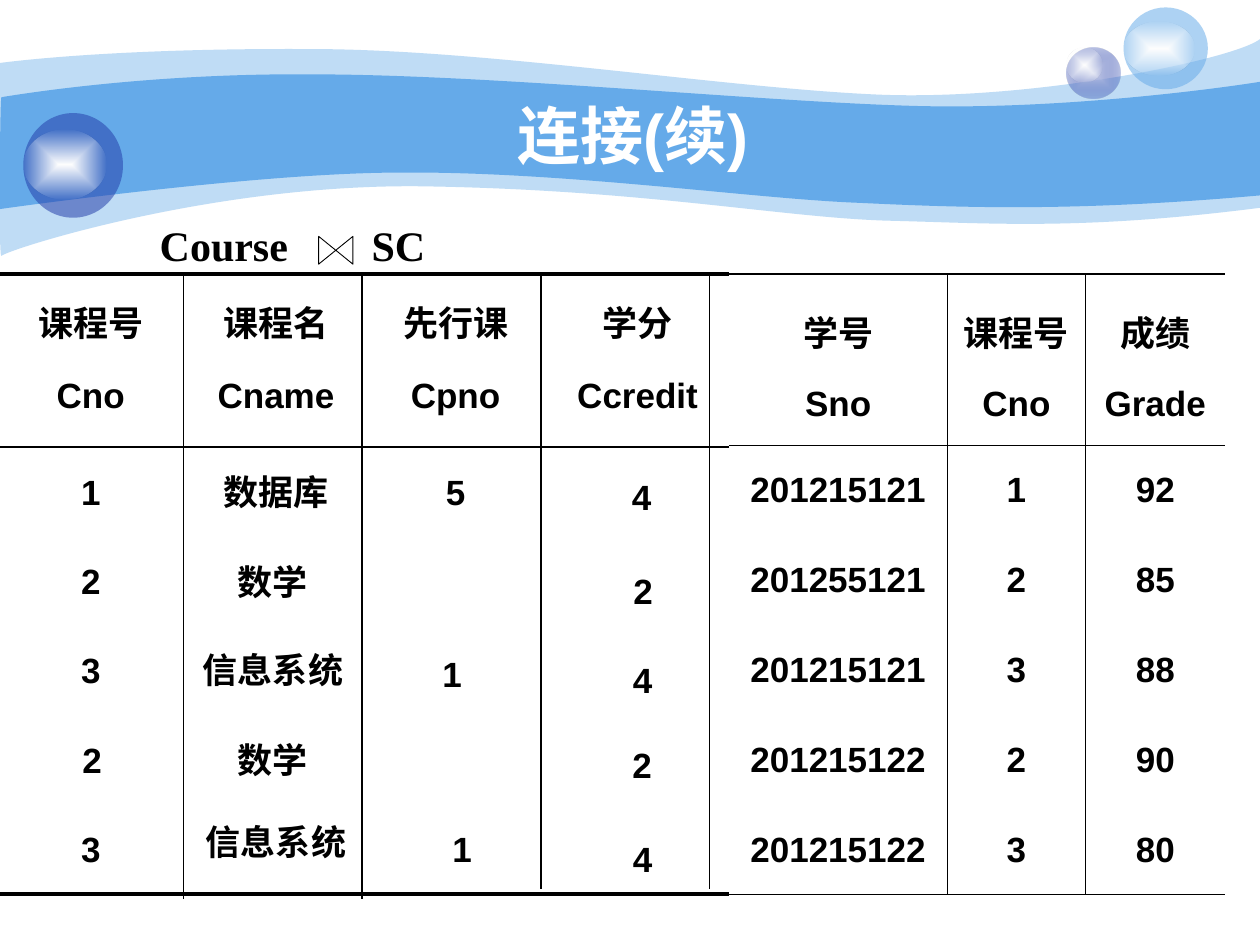
import lxml.etree
import pptx
import pptx.dml.color
import pptx.enum.shapes
import pptx.enum.text
import pptx.oxml
import pptx.oxml.ns
import pptx.util
from pptx.util import Cm, Pt

RGBColor = pptx.dml.color.RGBColor
SHAPES = pptx.enum.shapes.MSO_SHAPE
ALIGN = pptx.enum.text.PP_ALIGN
ANCHOR = pptx.enum.text.MSO_ANCHOR
qn = pptx.oxml.ns.qn

BLACK = RGBColor(0x00, 0x00, 0x00)
WHITE = RGBColor(0xFF, 0xFF, 0xFF)
SKY = RGBColor(0x65, 0xAA, 0xE9)
NAVY = RGBColor(0x23, 0x3D, 0xA9)
LAVENDER = RGBColor(0xC7, 0xCE, 0xE9)
NS = 'xmlns:a="http://schemas.openxmlformats.org/drawingml/2006/main"'


def paint(shape, *stops):
    """Fill with one (colour, opacity) stop, or a rectangular gradient of several."""
    shape.shadow.inherit = False
    shape.line.fill.background()
    shape.fill.background()
    colours = [f'<a:srgbClr val="{colour}"><a:alpha val="{opacity * 1000}"/></a:srgbClr>'
               for colour, opacity in stops]
    if len(colours) == 1:
        xml = f'<a:solidFill {NS}>{colours[0]}</a:solidFill>'
    else:
        xml = (f'<a:gradFill {NS} rotWithShape="1"><a:gsLst>'
               f'<a:gs pos="0">{colours[0]}</a:gs><a:gs pos="100000">{colours[1]}</a:gs>'
               '</a:gsLst><a:path path="rect"><a:fillToRect l="50000" t="50000" '
               'r="50000" b="50000"/></a:path></a:gradFill>')
    properties = shape.element.spPr
    properties.replace(properties.find(qn("a:noFill")), pptx.oxml.parse_xml(xml))


def write_centred(frame, lines):
    frame.word_wrap = True
    frame.text = "\n".join(lines)
    for index, para in enumerate(frame.paragraphs):
        para.alignment = ALIGN.CENTER
        para.line_spacing = 1.5
        if index:
            para.space_before = Pt(5)
        font = para.runs[0].font
        font.name, font.size, font.bold = "Arial", Pt(20), True
        font.color.rgb = BLACK


deck = pptx.Presentation()
deck.slide_width, deck.slide_height = Cm(25.4), Cm(19.05)
page = deck.slides.add_slide(deck.slide_layouts[5])

# Waves: cubic curves along the upper edge, a straight side, curves back along the lower edge
waves = [
    (41,
     [(0, 1.27), (0.61, 1.19), (2.72, 0.97), (6.27, 0.99), (9.8, 0.99), (14.61, 1.78),
      (17.75, 1.91), (20.88, 2.03), (24.89, 1.19), (25.4, 0.79),
      (25.4, 4.19), (21.79, 4.65), (19.99, 4.5), (17.91, 4.45), (15.8, 4.39), (13.08, 3.84),
      (8.71, 3.76), (4.37, 3.66), (0.1, 5.05), (0.03, 5.16), (-0.03, 5.28), (0, 1.91),
      (0, 1.27)]),
    (100,
     [(0.03, 1.96), (0.05, 1.96), (2.79, 1.47), (6.3, 1.5), (9.8, 1.5), (15.11, 2.03),
      (18.24, 2.13), (21.36, 2.24), (24.79, 1.75), (25.4, 1.65),
      (25.4, 3.94), (21.67, 4.27), (19.43, 4.19), (17.32, 4.09), (15.19, 4.01), (11.35, 3.45),
      (8.05, 3.48), (5.16, 3.48), (-0.05, 4.22), (-0.03, 4.22), (0, 4.22), (0, 1.96),
      (0.03, 1.96)]),
]
SIDE = 9  # the straight side follows the three upper curves
decorations = []
for opacity, outline in waves:
    points = [(Cm(x), Cm(y)) for x, y in outline]
    builder = page.shapes.build_freeform(*points[0])
    builder.add_line_segments(points[1:], close=True)
    wave = builder.convert_to_shape()
    segments = list(wave.element.iter(qn("a:lnTo")))
    curved = segments[:SIDE] + segments[SIDE + 1:]
    for start in range(0, len(curved), 3):
        curve = lxml.etree.Element(qn("a:cubicBezTo"))
        curved[start].addprevious(curve)
        for segment in curved[start:start + 3]:
            curve.append(segment[0])
            segment.getparent().remove(segment)
    paint(wave, (SKY, opacity))
    decorations.append(wave)

# Bubbles, each grouped with its highlight
bubbles = [
    ((21.51, 0.97, 1.07, 1.02), ((LAVENDER, 100), (NAVY, 31)), (21.51, 0.97, 0.71, 0.69)),
    ((22.65, 0.15, 1.7, 1.65), ((SKY, 53),), (22.65, 0.43, 1.42, 1.09)),
    ((0.47, 2.28, 2.01, 2.11), ((NAVY, 53),), (0.47, 2.61, 1.68, 1.42)),
]
for ball, stops, highlight in bubbles:
    group = page.shapes.add_group_shape()
    paint(group.shapes.add_shape(SHAPES.OVAL, *map(Cm, ball)), *stops)
    paint(group.shapes.add_shape(SHAPES.OVAL, *map(Cm, highlight)), (WHITE, 100), (WHITE, 0))
    decorations.append(group)

# The decorations belong to the master, behind its placeholders
backdrop = deck.slide_master.shapes._spTree
number = 100
for position, shape in enumerate(decorations, start=2):
    backdrop.insert(position, shape.element)
    for identity in shape.element.iter(qn("p:cNvPr")):
        identity.set("id", str(number))
        number += 1

title = page.shapes.title
title.left, title.top, title.width, title.height = Cm(2.5), Cm(1.93), Cm(20.52), Cm(1.57)
title.text_frame.text = "连接(续)"
title.text_frame.vertical_anchor = ANCHOR.MIDDLE
heading = title.text_frame.paragraphs[0]
heading.alignment = ALIGN.CENTER
font = heading.runs[0].font
font.name, font.size, font.bold = "Arial", Pt(36), True
font.color.rgb = WHITE

# SC half of the join
sc_rows = [
    (("学号", "Sno"), ("课程号", "Cno"), ("成绩", "Grade")),
    (("201215121",), ("1",), ("92",)),
    (("201255121",), ("2",), ("85",)),
    (("201215121",), ("3",), ("88",)),
    (("201215122",), ("2",), ("90",)),
    (("201215122",), ("3",), ("80",)),
]
frame = page.shapes.add_table(6, 3, Cm(14.7), Cm(5.53), Cm(9.99), Cm(12.5))
table = frame.table
table.first_row = table.horz_banding = False
style = frame.element.find(".//" + qn("a:tableStyleId"))
style.text = "{2D5ABB26-0587-4C30-8999-92F81FD0307C}"
for column, width in zip(table.columns, (4.39, 2.8, 2.8)):
    column.width = Cm(width)
for r, values in enumerate(sc_rows):
    table.rows[r].height = Cm(1.81 if r else 3.45)
    for c, lines in enumerate(values):
        cell = table.cell(r, c)
        write_centred(cell.text_frame, lines)
        cell.fill.background()
        borders = {"lnL": 0.45 if c else 0, "lnR": 0.45 if c < 2 else 0,
                   "lnT": {0: 1.08, 1: 0.45}.get(r, 0), "lnB": {0: 0.45, 5: 1.08}.get(r, 0)}
        for index, (side, points) in enumerate(borders.items()):
            ink = (f'<a:solidFill><a:srgbClr val="{BLACK}"/></a:solidFill>' if points
                   else '<a:noFill/>')
            cell._tc.tcPr.insert(index, pptx.oxml.parse_xml(
                f'<a:{side} {NS} w="{Pt(points)}">{ink}</a:{side}>'))

# Course half: left, width, heading, then (row, text, shift right, shift down)
course_columns = [
    (-0.1, 3.86, ("课程号", "Cno"),
     [(0, "1", 0, 0), (1, "2", 0, 0), (2, "3", 0, 0), (3, "2", 0.03, 0), (4, "3", 0, 0)]),
    (3.76, 3.61, ("课程名", "Cname"),
     [(0, "数据库", 0, 0), (1, "数学", -0.06, 0.02), (2, "信息系统", -0.06, 0),
      (3, "数学", -0.06, 0), (4, "信息系统", 0, -0.13)]),
    (7.37, 3.63, ("先行课", "Cpno"),
     [(0, "5", 0, 0), (2, "1", -0.07, 0.07), (4, "1", 0.13, 0)]),
    (11, 3.71, ("学分", "Ccredit"),
     [(0, "4", 0.08, 0.1), (1, "2", 0.11, 0.2), (2, "4", 0.1, 0.19),
      (3, "2", 0.09, 0.11), (4, "4", 0.1, 0.21)]),
]
for left, width, names, entries in course_columns:
    box = page.shapes.add_textbox(Cm(left), Cm(5.54), Cm(width), Cm(3.4))
    write_centred(box.text_frame, names)
    for row, value, right, down in entries:
        box = page.shapes.add_textbox(Cm(left + right), Cm(8.93 + 1.8 * row + down),
                                      Cm(width), Cm(1.52))
        write_centred(box.text_frame, [value])

rules = [(-0.1, y, 14.7, y, weight) for y, weight in ((5.53, 2.25), (9.01, 1), (18.03, 2.25))]
rules += [(x, 5.53, x, bottom, weight) for x, bottom, weight in
          ((3.7, 18.13, 1), (7.3, 18.13, 1), (10.9, 17.93, 1), (14.3, 17.93, 0.75))]
for *ends, weight in rules:
    rule = page.shapes.add_connector(pptx.enum.shapes.MSO_CONNECTOR.STRAIGHT, *map(Cm, ends))
    rule.line.color.rgb = BLACK
    rule.line.width = Pt(weight)
    lxml.etree.SubElement(rule.element.spPr, qn("a:effectLst"))

# Join expression, with a tab leaving room for the bowtie
box = page.shapes.add_textbox(Cm(2.97), Cm(4.13), Cm(6.9), Cm(1.6))
box.text_frame.word_wrap = False
box.text_frame.vertical_anchor = ANCHOR.MIDDLE
para = box.text_frame.paragraphs[0]
para.text = "Course\tSC"
para.alignment = ALIGN.LEFT
tabs = lxml.etree.SubElement(para._p.get_or_add_pPr(), qn("a:tabLst"))
lxml.etree.SubElement(tabs, qn("a:tab"), pos=str(Cm(4.27)), algn="l")
for span in para.runs:
    span.font.name, span.font.size, span.font.bold = "Times New Roman", Pt(24), True
    span.font.color.rgb = BLACK

bowtie = page.shapes.add_shape(SHAPES.FLOWCHART_COLLATE, Cm(6.49), Cm(4.7), Cm(0.56), Cm(0.69))
bowtie.rotation = 270
bowtie.shadow.inherit = False
bowtie.fill.solid()
bowtie.fill.fore_color.rgb = WHITE
bowtie.line.color.rgb = BLACK
bowtie.line.width = Pt(0.5)

deck.save("out.pptx")
